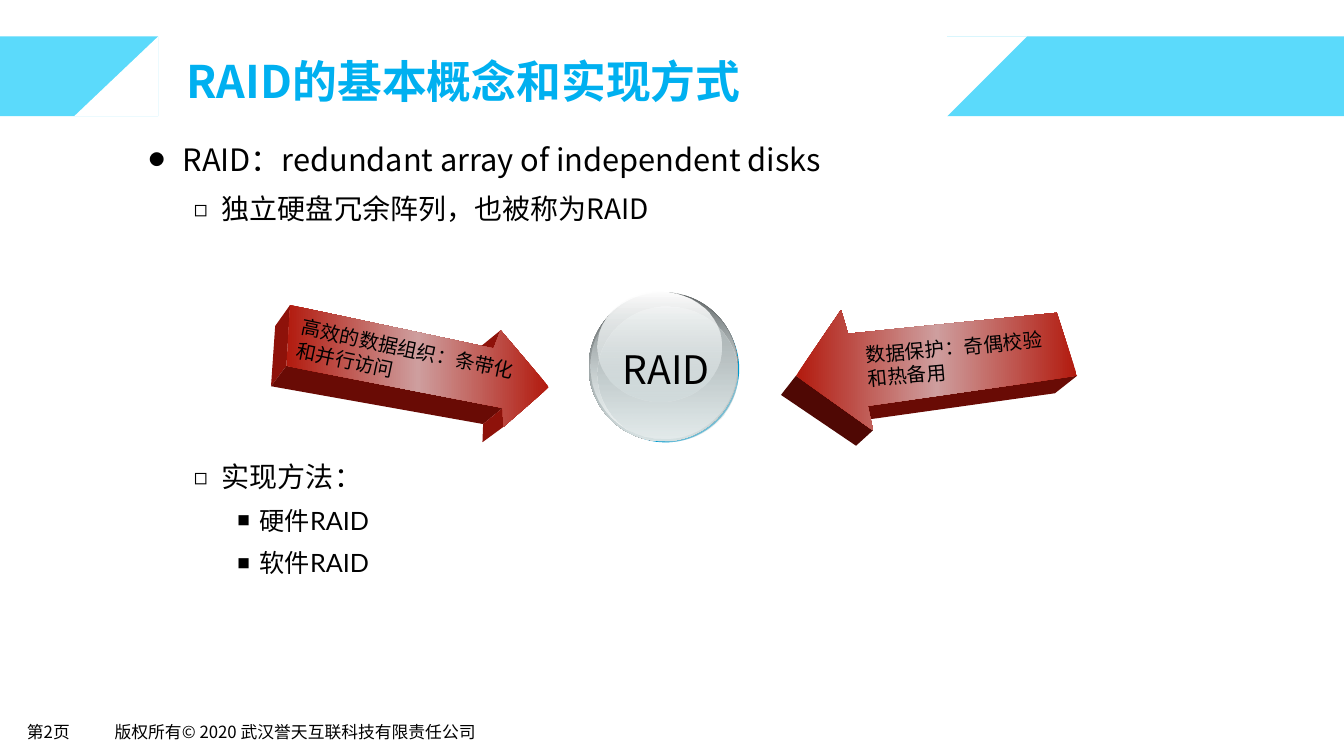
from dataclasses import dataclass

from lxml import etree
from pptx import Presentation
from pptx.dml.color import RGBColor
from pptx.enum.shapes import MSO_SHAPE
from pptx.enum.text import MSO_ANCHOR, MSO_AUTO_SIZE, PP_ALIGN
from pptx.oxml.ns import qn
from pptx.util import Pt

ELLIPSE = MSO_SHAPE.OVAL
RECTANGLE = MSO_SHAPE.RECTANGLE
MIDDLE, TOP = MSO_ANCHOR.MIDDLE, MSO_ANCHOR.TOP
LEFT, JUSTIFY = PP_ALIGN.LEFT, PP_ALIGN.JUSTIFY
NO_AUTOFIT = MSO_AUTO_SIZE.NONE


@dataclass(frozen=True)
class Theme:
    font: str = "Noto Sans CJK SC"
    latin_font: str = "Lato"
    band: str = "5BDAFB"
    paper: str = "FFFFFF"
    ink: str = "000000"
    title: str = "00B0F0"
    arrow: tuple = ((0, "B21A0E", 100), (50, "CE9E9E", 100), (100, "B21A0E", 100))
    arrow_side: str = "8E120A"
    arrow_base: str = "690B05"
    arrow_shade: str = "4F0804"
    globe_shadow: str = "0099CC"
    title_size: float = 32
    globe_size: float = 28
    level_sizes: tuple = (22, 20, 18)
    label_size: float = 14
    footer_size: float = 12


THEME = Theme()
LEVELS = (
    {"bullet": "●", "scale": 50, "margin": 24, "hanging": 24, "font": THEME.font},
    {"bullet": "◻", "scale": 80, "margin": 52, "hanging": 20, "font": THEME.font},
    {"bullet": "■", "scale": 50, "margin": 79, "hanging": 16, "font": THEME.latin_font},
)
LEFT_ARROW = (
    (((3, 15), (13.6, 0), (11, 43.5), (0, 58)), THEME.arrow_side),
    (((0, 58), (11, 43.5), (165.5, 73.5), (151.5, 85)), THEME.arrow_base),
    (((151, 98), (151.5, 85), (165.5, 73.5), (166, 87)), THEME.arrow_side),
    (((150.5, 29), (164, 18), (159, 31)), THEME.arrow_side),
    (((13.6, 0), (159, 31), (164, 18), (198.6, 58.6), (166, 87), (165.5, 73.5), (11, 43.5)), THEME.arrow),
)
RIGHT_ARROW = (
    (((0, 60.7), (10.7, 47), (65.7, 86), (53.6, 97)), THEME.arrow_shade),
    (((62, 68.5), (211.5, 47), (195.7, 59.5), (64, 78)), THEME.arrow_base),
    (((10.7, 47), (42.9, 0), (47.9, 17), (197, 2), (211.5, 47), (62, 68.5), (65.7, 86)), THEME.arrow),
)
GLOBE_LAYERS = (
    ((2.5, 3, 105, 105), THEME.globe_shadow),
    ((0, 0.7, 106.5, 106.5), ((0, "636869", 100), (100, "D6E1E2", 100))),
    ((1.4, 1.4, 104.4, 103.7), ((0, "D6E1E2", 0), (100, "F1F5F5", 100))),
    ((6.5, 10.8, 99.4, 96.5), ((0, "AAB2B3", 100), (100, "D6E1E2", 48))),
    ((6.5, 0, 88.6, 78.5), ((0, "FFFFFF", 100), (100, "D6E1E2", 38))),
)


def set_attributes(target, values):
    for name, value in values.items():
        setattr(target, name, value)


def add_child(parent, tag, **attributes):
    return etree.SubElement(parent, qn(tag), attributes)


def paint(shape, fill, angle=0):
    shape.shadow.inherit = False
    shape.line.fill.background()
    if isinstance(fill, str):
        shape.fill.solid()
        shape.fill.fore_color.rgb = RGBColor.from_string(fill)
        return
    shape.fill.background()
    properties = shape.fill._xPr
    gradient = etree.Element(qn("a:gradFill"), rotWithShape="1")
    stops = add_child(gradient, "a:gsLst")
    for position, color, opacity in fill:
        stop = add_child(stops, "a:gs", pos=str(position * 1000))
        color_node = add_child(stop, "a:srgbClr", val=color)
        add_child(color_node, "a:alpha", val=str(opacity * 1000))
    add_child(gradient, "a:lin", ang=str(angle * 60000), scaled="0")
    properties.replace(properties.find(qn("a:noFill")), gradient)


def add_polygon(slide, left, top, points, fill):
    corners = [(Pt(left + x), Pt(top + y)) for x, y in points]
    builder = slide.shapes.build_freeform(*corners[0])
    builder.add_line_segments(corners[1:], close=True)
    paint(builder.convert_to_shape(), fill)


def add_preset(slide, preset, box, fill, angle=0):
    paint(slide.shapes.add_shape(preset, *map(Pt, box)), fill, angle)


def place(shape, box):
    set_attributes(shape, dict(zip(("left", "top", "width", "height"), map(Pt, box))))


def add_run(paragraph, text, size, color=THEME.ink, font=THEME.font, bold=False):
    run = paragraph.add_run()
    run.text = text
    set_attributes(run.font, {"size": Pt(size), "bold": bold, "name": font})
    run.font.color.rgb = RGBColor.from_string(color)
    add_child(run._r.get_or_add_rPr(), "a:ea", typeface=THEME.font)


def add_label(slide, box, text, size, rotation=0, wrap=True):
    label = slide.shapes.add_textbox(*map(Pt, box))
    label.rotation = rotation
    label.text_frame.word_wrap = wrap
    add_run(label.text_frame.paragraphs[0], text, size)


def add_header(slide, box):
    left, top, width, height = box
    right_band = 676.5
    add_preset(slide, RECTANGLE, (left, top, 113, height), THEME.band)
    add_polygon(slide, left + 53, top, ((60, height), (0, height), (60, 0)), THEME.paper)
    add_preset(slide, RECTANGLE, (left + right_band, top, width - right_band, height), THEME.band)
    add_polygon(slide, left + right_band, top, ((0, 0), (height, 0), (0, height)), THEME.paper)


def add_title(slide, box, text):
    title = slide.shapes.title
    place(title, box)
    frame = title.text_frame
    set_attributes(frame, {
        "margin_left": Pt(8), "margin_right": Pt(8), "margin_top": Pt(4), "margin_bottom": Pt(4),
        "vertical_anchor": MIDDLE, "word_wrap": True, "auto_size": NO_AUTOFIT,
    })
    frame.paragraphs[0].alignment = LEFT
    add_run(frame.paragraphs[0], text, THEME.title_size, THEME.title, bold=True)


def add_outline(slide, box, items):
    body = slide.placeholders[1]
    place(body, box)
    frame = body.text_frame
    set_attributes(frame, {
        "margin_left": Pt(6.5), "margin_right": Pt(6.5), "margin_top": Pt(3), "margin_bottom": Pt(3),
        "vertical_anchor": TOP, "word_wrap": True, "auto_size": NO_AUTOFIT,
    })
    for index, (level, space_before, text) in enumerate(items):
        paragraph = frame.add_paragraph() if index else frame.paragraphs[0]
        style = LEVELS[level]
        set_attributes(paragraph, {
            "level": level, "alignment": LEFT if level else JUSTIFY,
            "line_spacing": 1.2, "space_before": Pt(space_before), "space_after": Pt(0),
        })
        properties = paragraph._p.get_or_add_pPr()
        properties.set("marL", str(Pt(style["margin"])))
        properties.set("indent", str(-Pt(style["hanging"])))
        color = add_child(properties, "a:buClr")
        add_child(color, "a:srgbClr", val=THEME.ink)
        add_child(properties, "a:buSzPct", val=str(style["scale"] * 1000))
        add_child(properties, "a:buFont", typeface=THEME.font)
        add_child(properties, "a:buChar", char=style["bullet"])
        add_run(paragraph, text, THEME.level_sizes[level], font=style["font"])


def add_arrow(slide, box, faces, text, text_box, rotation):
    left, top = box
    for points, fill in faces:
        add_polygon(slide, left, top, points, fill)
    x, y, width, height = text_box
    add_label(slide, (left + x, top + y, width, height), text, THEME.label_size, rotation)


def add_globe(slide, box, text):
    left, top = box
    for (x, y, width, height), fill in GLOBE_LAYERS:
        add_preset(slide, ELLIPSE, (left + x, top + y, width, height), fill, 90)
    add_label(slide, (left + 17.3, top + 35.3, 99.4, 41), text, THEME.globe_size)


def add_footer(slide, box):
    left, top, height = box
    add_label(slide, (left, top, 53, height), "第2页", THEME.footer_size, wrap=False)
    add_label(slide, (left + 62.6, top, 278, height),
              "版权所有© 2020 武汉誉天互联科技有限责任公司", THEME.footer_size, wrap=False)


def main():
    presentation = Presentation()
    presentation.slide_width, presentation.slide_height = Pt(960), Pt(540)
    slide = presentation.slides.add_slide(presentation.slide_layouts[1])
    add_header(slide, (0, 26, 960, 57))
    add_title(slide, (125.3, 32.4, 774, 50.4), "RAID的基本概念和实现方式")
    add_outline(slide, (100, 92.2, 623.5, 383), (
        (0, 0, "RAID：redundant array of independent disks"),
        (1, 4.8, "独立硬盘冗余阵列，也被称为RAID"),
        (1, 163, "实现方法："),
        (2, 4.3, "硬件RAID"),
        (2, 4.3, "软件RAID"),
    ))
    add_arrow(slide, (193.6, 217.9), LEFT_ARROW, "高效的数据组织：条带化和并行访问",
              (11.6, 20.4, 182.2, 41), 11.9)
    add_arrow(slide, (557.9, 221.4), RIGHT_ARROW, "数据保护：奇偶校验和热备用",
              (54.1, 14, 154, 41), 354.8)
    add_globe(slide, (420.5, 208), "RAID")
    add_footer(slide, (12.2, 512, 21))
    presentation.save("out.pptx")


if __name__ == "__main__":
    main()
